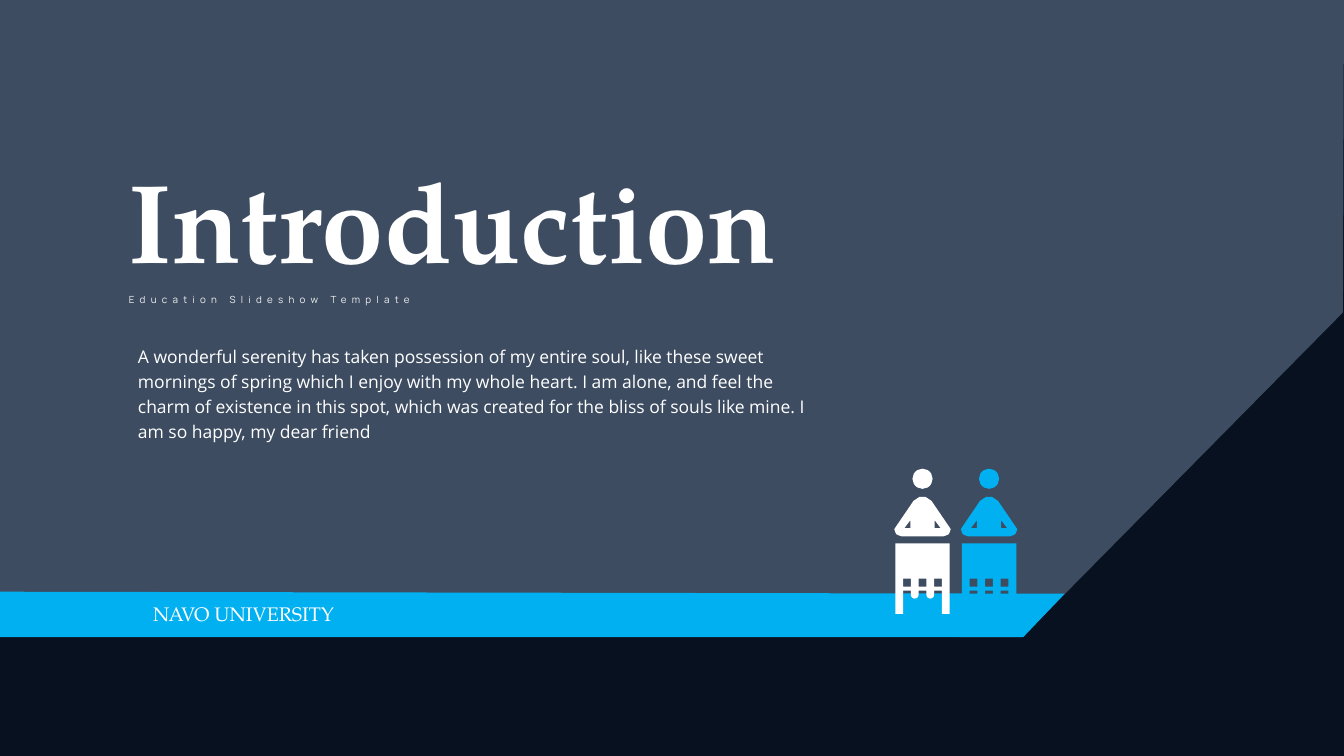
import math

import lxml.etree
import pptx
import pptx.dml.color
import pptx.enum.shapes
import pptx.enum.text
import pptx.oxml.ns
import pptx.util

Inches = pptx.util.Inches
Pt = pptx.util.Pt
qn = pptx.oxml.ns.qn

COLORS = {
    "night": "07111F",
    "slate": "44546A",
    "sky": "00B0F0",
    "white": "FFFFFF",
    "mist": "F2F2F2",
}
SERIF = "TeX Gyre Pagella"


def rgb(name):
    return pptx.dml.color.RGBColor.from_string(COLORS[name])


def box(left, top, width, height):
    right, bottom = left + width, top + height
    return [(left, top), (right, top), (right, bottom), (left, bottom)]


def mirrored(half, cx):
    """Outline that is symmetric about x = cx, from its right half."""
    return [(cx + x, y) for x, y in half] + [(cx - x, y) for x, y in reversed(half)]


class Deck:
    def __init__(self, width, height):
        self.prs = pptx.Presentation()
        self.prs.slide_width = Inches(width)
        self.prs.slide_height = Inches(height)
        self.s = self.prs.slides.add_slide(self.prs.slide_layouts[6])

    def background(self, color):
        fill = self.s.background.fill
        fill.solid()
        fill.fore_color.rgb = rgb(color)

    def paint(self, sp, color, opacity=100):
        sp.shadow.inherit = False
        sp.line.fill.background()
        sp.fill.solid()
        sp.fill.fore_color.rgb = rgb(color)
        if opacity < 100:
            clr = sp._element.spPr.find(".//" + qn("a:srgbClr"))
            lxml.etree.SubElement(clr, qn("a:alpha"), val=str(opacity * 1000))

    def outline(self, color, *contours, shapes=None, opacity=100):
        paths = [[(Inches(x), Inches(y)) for x, y in c] for c in contours]
        fb = (shapes or self.s.shapes).build_freeform(*paths[0][0])
        fb.add_line_segments(paths[0][1:], close=True)
        for hole in paths[1:]:
            fb.move_to(*hole[0])
            fb.add_line_segments(hole[1:], close=True)
        self.paint(fb.convert_to_shape(), color, opacity)

    def text(self, at, words, color, para=None, anchor="TOP", spacing=None, **font):
        sp = self.s.shapes.add_textbox(*map(Inches, at))
        tf = sp.text_frame
        tf.word_wrap = True
        tf.vertical_anchor = pptx.enum.text.MSO_ANCHOR[anchor]
        p = tf.paragraphs[0]
        r = p.add_run()
        r.text = words
        r.font.color.rgb = rgb(color)
        for target, values in ((p, para or {}), (r.font, font)):
            for key, value in values.items():
                setattr(target, key, value)
        if spacing:
            r.font._element.set("spc", str(round(spacing * 100)))

    def person(self, cx, color):
        shapes = self.s.shapes.add_group_shape().shapes

        # Desk: seven equal columns of legs, windows and round-ended pegs
        col, left, top = 0.54 / 7, cx - 0.27, 5.39
        edge = [(left, top), (left, 6.09), (left + col, 6.09), (left + col, 5.86)]
        for n in (2, 4):
            start, radius = left + n * col, col / 2
            edge.append((start, 5.86))
            for step in range(9):
                angle = math.pi * step / 8
                edge.append((start + radius - radius * math.cos(angle),
                             5.9 + radius * math.sin(angle)))
            edge.append((start + col, 5.86))
        edge += [(left + 6 * col, 5.86), (left + 6 * col, 6.09),
                 (left + 7 * col, 6.09), (left + 7 * col, top)]
        windows = [box(left + n * col, 5.74, col, 0.08) for n in (1, 3, 5)]
        self.outline(color, edge, *windows, shapes=shapes)

        # Head
        head = shapes.add_shape(pptx.enum.shapes.MSO_SHAPE.OVAL, Inches(cx - 0.1),
                                Inches(4.65), Inches(0.2), Inches(0.2))
        self.paint(head, color)

        # Shoulders and folded arms
        half = [(0.03, 4.93), (0.06, 4.95), (0.09, 4.97), (0.11, 5), (0.26, 5.22),
                (0.28, 5.25), (0.27, 5.28), (0.26, 5.3), (0.24, 5.31), (0.21, 5.32)]
        gaps = [[(cx + side * x, y) for x, y in ((0.12, 5.16), (0.12, 5.24), (0.18, 5.24))]
                for side in (-1, 1)]
        self.outline(color, mirrored(half, cx), *gaps, shapes=shapes)


def main():
    deck = Deck(13.33, 7.5)
    deck.background("night")

    # Backdrop panel and bottom band
    deck.outline("slate", [(0, 0), (13.33, 0), (13.32, 3.1), (10.14, 6.32), (0, 6.31)],
                 opacity=89)
    deck.outline("sky", [(0, 5.87), (10.56, 5.89), (10.15, 6.32), (0, 6.32)])

    # Title and subtitle
    deck.text((1.18, 1.65, 6.98, 1.21), "Introduction", "white", anchor="MIDDLE",
              para={"line_spacing": 0.9, "space_before": Pt(16)},
              name=SERIF, size=Pt(80), bold=True)
    deck.text((1.18, 2.86, 4.07, 0.22), "Education Slideshow Template", "mist",
              spacing=3.8, name="Manrope", size=Pt(7))

    # Two people at desks
    for i, color in enumerate(("white", "sky")):
        deck.person(9.15 + i * 0.66, color)

    # Body text and band label
    deck.text((1.27, 3.34, 6.98, 1.09),
              "A wonderful serenity has taken possession of my entire soul, like these "
              "sweet mornings of spring which I enjoy with my whole heart. I am alone, "
              "and feel the charm of existence in this spot, which was created for the "
              "bliss of souls like mine. I am so happy, my dear friend",
              "white", para={"line_spacing": 1.2}, name="Open Sans", size=Pt(12.5))
    deck.text((1.42, 5.92, 6.68, 0.34), "NAVO UNIVERSITY", "white",
              name=SERIF, size=Pt(14))

    deck.prs.save("out.pptx")


if __name__ == "__main__":
    main()
